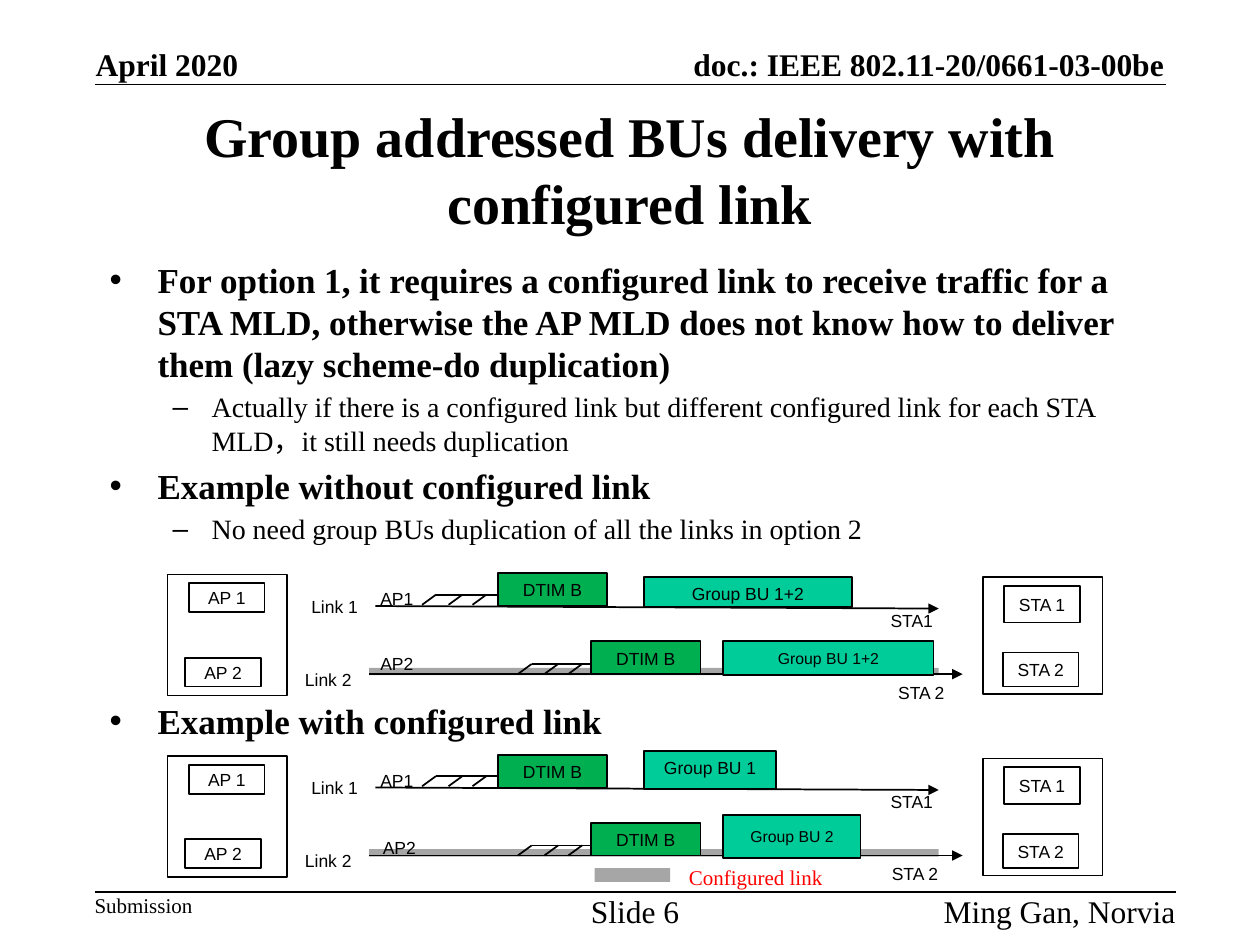
from lxml import etree
from pptx import Presentation
from pptx.dml.color import RGBColor
from pptx.enum import shapes, text
from pptx.oxml import ns
from pptx.util import Inches, Pt

BLACK = RGBColor(0x00, 0x00, 0x00)
WHITE = RGBColor(0xFF, 0xFF, 0xFF)
GREEN = RGBColor(0x00, 0xB0, 0x50)
TEAL = RGBColor(0x00, 0xCC, 0x99)
GRAY = RGBColor(0xA6, 0xA6, 0xA6)
RED = RGBColor(0xFF, 0x00, 0x00)
SERIF, SANS = "Times New Roman", "Arial"
LEFT, CENTER, RIGHT = text.PP_ALIGN.LEFT, text.PP_ALIGN.CENTER, text.PP_ALIGN.RIGHT
TOP, MIDDLE, BOTTOM = text.MSO_ANCHOR.TOP, text.MSO_ANCHOR.MIDDLE, text.MSO_ANCHOR.BOTTOM


def write(p, content, size=10, font=SANS, color=BLACK, bold=False, align=LEFT):
    """Add one formatted run to a paragraph."""
    p.alignment = align
    r = p.add_run()
    r.text = content
    r.font.size, r.font.name, r.font.bold = Pt(size), font, bold
    r.font.color.rgb = color


def place(sp, left, top, width, height):
    """Move and size a placeholder, with lengths in inches."""
    sp.left, sp.top = Inches(left), Inches(top)
    sp.width, sp.height = Inches(width), Inches(height)


def add_label(parent, box, content, anchor=TOP, inset=True, **fmt):
    """Add a text box; without an inset it grows with its text and does not wrap."""
    sp = parent.shapes.add_textbox(*map(Inches, box))
    tf = sp.text_frame
    tf.word_wrap, tf.vertical_anchor = inset, anchor
    if not inset:
        tf.auto_size = text.MSO_AUTO_SIZE.SHAPE_TO_FIT_TEXT
        tf.margin_left = tf.margin_right = tf.margin_top = tf.margin_bottom = 0
    write(tf.paragraphs[0], content, **fmt)


def add_box(parent, box, content="", fill=None, outline=True, anchor=MIDDLE, **fmt):
    """Add a rectangle with optional fill, outline and centred text."""
    sp = parent.shapes.add_shape(shapes.MSO_SHAPE.RECTANGLE, *map(Inches, box))
    sp.shadow.inherit = False
    if fill is None:
        sp.fill.background()
    else:
        sp.fill.solid()
        sp.fill.fore_color.rgb = fill
    if outline:
        sp.line.color.rgb, sp.line.width = BLACK, Pt(1)
    else:
        sp.line.fill.background()
    if content:
        sp.text_frame.vertical_anchor = anchor
        write(sp.text_frame.paragraphs[0], content, align=CENTER, **fmt)


def add_line(parent, x1, y1, x2, y2, arrow=False):
    """Add a thin black line, with an arrowhead at its end if asked."""
    cx = parent.shapes.add_connector(
        shapes.MSO_CONNECTOR.STRAIGHT, *map(Inches, (x1, y1, x2, y2)))
    cx.line.color.rgb, cx.line.width = BLACK, Pt(1)
    if arrow:
        etree.SubElement(cx.line._get_or_add_ln(), ns.qn("a:tailEnd"), type="triangle")
    etree.SubElement(cx._element.spPr, ns.qn("a:effectLst"))


def add_header(s, left, top, width):
    """Place the date, the document number and the rule under them."""
    fmt = dict(anchor=BOTTOM, inset=False, size=18, font=SERIF, bold=True)
    add_label(s, (left + 0.01, top, 1.14, 0.3), "April 2020", **fmt)
    add_label(s, (left + width - 4.29, top, 4.28, 0.3),
              "doc.: IEEE 802.11-20/0661-03-00be", align=RIGHT, **fmt)
    add_line(s, left, top + 0.31, left + width, top + 0.31)


def add_footer(s, left, top, width):
    """Place the rule and the three footer texts below it."""
    add_line(s, left, top, left + width, top)
    fmt = dict(inset=False, font=SERIF)
    add_label(s, (left, top, 0.85, 0.2), "Submission", size=12, **fmt)
    add_label(s, (left + width / 2 - 0.4, top, 0.8, 0.3), "Slide 6",
              size=18, align=CENTER, **fmt)
    add_label(s, (left + width - 2.1, top, 2.1, 0.3), "Ming Gan, Norvia",
              size=18, align=RIGHT, **fmt)


def add_title(s, *box):
    """Fill the title placeholder."""
    sp = s.shapes.title
    place(sp, *box)
    tf = sp.text_frame
    tf.auto_size, tf.vertical_anchor = text.MSO_AUTO_SIZE.NONE, MIDDLE
    write(tf.paragraphs[0], "Group addressed BUs delivery with configured link",
          size=32, font=SERIF, bold=True, align=CENTER)


def add_body(s, *box):
    """Fill the body placeholder with a two-level list."""
    sp = s.placeholders[1]
    place(sp, *box)
    tf = sp.text_frame
    tf.auto_size = text.MSO_AUTO_SIZE.NONE
    items = [
        (0, 0, "For option 1, it requires a configured link to receive traffic for a "
               "STA MLD, otherwise the AP MLD does not know how to deliver them "
               "(lazy scheme-do duplication)"),
        (1, 3.2, "Actually if there is a configured link but different configured "
                 "link for each STA MLD，it still needs duplication"),
        (0, 4, "Example without configured link"),
        (1, 3.2, "No need group BUs duplication of all the links in option 2"),
        (0, 88, "Example with configured link"),
    ]
    for i, (level, before, content) in enumerate(items):
        p = tf.paragraphs[0] if i == 0 else tf.add_paragraph()
        p.level, p.space_before = level, Pt(before)
        margin, indent, mark = [(0.38, -0.38, "•"), (0.81, -0.31, "–")][level]
        pPr = p._p.get_or_add_pPr()
        pPr.set("marL", str(Inches(margin)))
        pPr.set("indent", str(Inches(indent)))
        etree.SubElement(pPr, ns.qn("a:buChar"), char=mark)
        write(p, content, size=(20, 16)[level], font=SERIF, bold=level == 0)


def add_backoff(parent, left, top):
    """Draw the slanted back-off slots in front of a beacon."""
    add_line(parent, left + 0.11, top, left + 0.61, top)
    for x in (0, 0.21, 0.4):
        add_line(parent, left + x + 0.11, top, left + x, top + 0.08)


def add_device(parent, frame, parts):
    """Draw a device frame with its named parts."""
    add_box(parent, frame)
    for name, box in parts.items():
        add_box(parent, box, name, fill=WHITE)


def add_diagram(s, left, top, bursts, ap2, sta2, legend=False):
    """Draw two links between an AP device and a STA device."""
    g = s.shapes.add_group_shape()

    def at(x, y, *size):
        """Shift a point or box to the diagram's corner."""
        return (left + x, top + y, *size)

    add_device(g, at(0, 0.01, 0.95, 0.96), {
        "AP 1": at(0.17, 0.08, 0.6, 0.23), "AP 2": at(0.14, 0.67, 0.6, 0.23)})
    add_device(g, at(6.47, 0.03, 0.95, 0.93), {
        "STA 1": at(6.64, 0.1, 0.6, 0.29), "STA 2": at(6.63, 0.63, 0.6, 0.27)})
    add_box(g, at(1.6, 0.75, 4.52, 0.06), fill=GRAY, outline=False)
    add_line(g, *at(1.65, 0.26), *at(6.12, 0.28), arrow=True)
    add_line(g, *at(1.6, 0.8), *at(6.31, 0.8), arrow=True)
    for content, x, y, align in [
            ("Link 1", 0.93, 0.13, CENTER), ("Link 2", 0.88, 0.71, CENTER),
            ("AP1", 1.59, 0.07, LEFT), ("AP2", *ap2, LEFT),
            ("STA1", 5.64, 0.24, LEFT), ("STA 2", *sta2, LEFT)]:
        add_label(g, at(x, y, 0.79, 0.2), content, align=align)
    for slots, beacon in [((2.02, 0.17), (2.62, 0)), ((2.78, 0.72), (3.36, 0.54))]:
        add_backoff(g, *at(*slots))
        add_box(g, at(*beacon, 0.87, 0.26), "DTIM B", fill=GREEN, anchor=TOP)
    for (content, box), size, anchor in zip(bursts, (10, 9), (TOP, MIDDLE)):
        add_box(g, at(*box), content, fill=TEAL, size=size, anchor=anchor)
    if legend:
        add_box(g, at(3.39, 0.9, 0.6, 0.11), fill=GRAY, outline=False)
        add_label(g, at(4.04, 0.82, 1.73, 0.19), "Configured link",
                  size=12, font=SERIF, color=RED)


def main():
    """Build and save the slide."""
    prs = Presentation()
    prs.slide_width, prs.slide_height = Inches(10), Inches(7.5)
    s = prs.slides.add_slide(prs.slide_layouts[1])
    add_header(s, 0.75, 0.36, 8.5)
    add_footer(s, 0.75, 7.08, 8.58)
    add_title(s, 0.75, 0.75, 8.5, 1.17)
    add_body(s, 0.77, 2, 8.5, 4.5)
    add_diagram(s, 1.33, 4.55, [("Group BU 1+2", (3.78, 0.03, 1.65, 0.24)),
                                ("Group BU 1+2", (4.41, 0.54, 1.67, 0.27))],
                ap2=(1.59, 0.58), sta2=(5.7, 0.81))
    add_diagram(s, 1.33, 5.99, [("Group BU 1", (3.78, -0.03, 1.05, 0.3)),
                                ("Group BU 2", (4.41, 0.48, 1.09, 0.34))],
                ap2=(1.61, 0.6), sta2=(5.65, 0.81), legend=True)
    prs.save("out.pptx")


if __name__ == "__main__":
    main()
